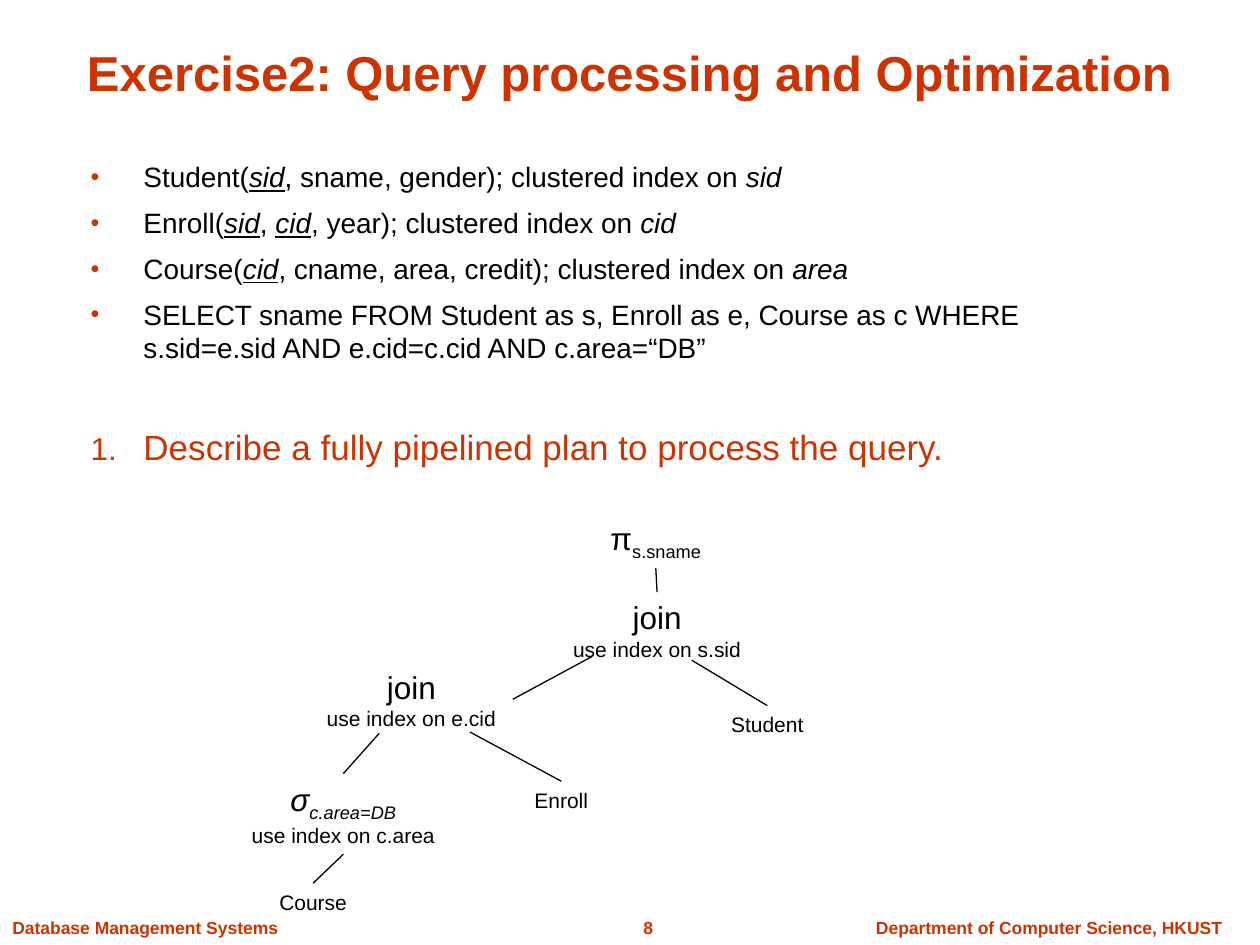
from lxml.etree import SubElement
from pptx import Presentation
from pptx.dml.color import RGBColor
from pptx.enum.shapes import MSO_CONNECTOR
from pptx.enum.text import MSO_ANCHOR, PP_ALIGN
from pptx.oxml.ns import qn
from pptx.util import Inches, Pt

RED = "CC3300"
BLACK = "000000"


def paint(color):
    return RGBColor.from_string(color)


def add_mark(para, mark):
    props = para._p.get_or_add_pPr()
    props.set("marL", str(Inches(0.42)))
    props.set("indent", str(Inches(-0.42)))
    tint = SubElement(props, qn("a:buClr"))
    SubElement(tint, qn("a:srgbClr")).set("val", RED)
    SubElement(props, qn("a:buSzPct")).set("val", "90000")
    SubElement(props, qn("a:buFont")).set("typeface", "Arial")
    if mark == "1.":
        SubElement(props, qn("a:buAutoNum")).set("type", "arabicPeriod")
    else:
        SubElement(props, qn("a:buChar")).set("char", mark)


def add_run(para, words, size, color, bold=False, style=""):
    run = para.add_run()
    run.text = words
    font = run.font
    font.name, font.size, font.bold = "Arial", Pt(size), bold
    font.color.rgb = paint(color)
    if "i" in style:
        font.italic = True
    if "u" in style:
        font.underline = True
    if "s" in style:
        run._r.get_or_add_rPr().set("baseline", "-25000")


def add_text(slide, box, paras, size=12, color=BLACK, bold=False,
             align=PP_ALIGN.CENTER, anchor=MSO_ANCHOR.TOP):
    shape = slide.shapes.add_textbox(*[Inches(n) for n in box])
    frame = shape.text_frame
    frame.word_wrap = True
    frame.vertical_anchor = anchor
    for i, item in enumerate(paras):
        para = frame.paragraphs[0] if i == 0 else frame.add_paragraph()
        para.alignment = align
        if "gap" in item:
            para.space_before = Pt(item["gap"])
        if "mark" in item:
            add_mark(para, item["mark"])
        for words, style in item["runs"]:
            add_run(para, words, item.get("size", size),
                    item.get("color", color), bold, style)
    return shape


def plain(words, **form):
    return dict(runs=[(words, "")], **form)


def add_line(slide, start, end):
    spots = [(0, 0) if hasattr(p[0], "shape_id") else p for p in (start, end)]
    line = slide.shapes.add_connector(
        MSO_CONNECTOR.STRAIGHT, *[Inches(n) for spot in spots for n in spot])
    if hasattr(start[0], "shape_id"):
        line.begin_connect(*start)
    if hasattr(end[0], "shape_id"):
        line.end_connect(*end)
    line.line.color.rgb = paint(BLACK)
    line.line.width = Pt(0.75)
    SubElement(line._element.spPr, qn("a:effectLst"))


def add_title(slide, box):
    add_text(slide, box, [plain("Exercise2: Query processing and Optimization")],
             size=28, color=RED, bold=True, anchor=MSO_ANCHOR.BOTTOM)


def add_body(slide, box):
    key = "iu"
    rows = [
        [("Student(", ""), ("sid", key),
         (", sname, gender); clustered index on ", ""), ("sid", "i")],
        [("Enroll(", ""), ("sid", key), (", ", ""), ("cid", key),
         (", year); clustered index on ", ""), ("cid", "i")],
        [("Course(", ""), ("cid", key),
         (", cname, area, credit); clustered index on ", ""), ("area", "i")],
        [("SELECT sname FROM Student as s, Enroll as e, Course as c WHERE "
          "s.sid=e.sid AND e.cid=c.cid AND c.area=“DB”", "")],
    ]
    paras = [dict(runs=row, mark="•", gap=7 if i else 0)
             for i, row in enumerate(rows)]
    paras.append(plain("Describe a fully pipelined plan to process the query.",
                       mark="1.", gap=34.8, size=20, color=RED))
    add_text(slide, box, paras, size=16, align=PP_ALIGN.LEFT)


def add_tree(slide, box):
    left, top = box[:2]

    def place(x, y, wide, high, *paras):
        return add_text(slide, (left + x, top + y, wide, high), paras)

    def spot(x, y):
        return left + x, top + y

    def join(x, y, wide, field):
        return place(x, y, wide, 0.6, plain("join", size=18),
                     plain("use index on " + field))

    root = place(2.71, 0, 1.23, 0.44,
                 dict(runs=[("π", ""), ("s.sname", "s")], size=18))
    upper = join(2.44, 0.63, 1.79, "s.sid")
    lower = join(0.58, 1.18, 1.61, "e.cid")
    pick = place(0, 2.07, 1.69, 0.64,
                 dict(runs=[("σ", "i"), ("c.area=DB", "is")], size=18),
                 plain("use index on c.area"))
    pupil = place(3.8, 1.53, 0.82, 0.3, plain("Student"))
    enroll = place(2.26, 2.13, 0.63, 0.3, plain("Enroll"))
    course = place(0.11, 2.94, 0.99, 0.3, plain("Course"))

    add_line(slide, (upper, 0), (root, 2))
    add_line(slide, (lower, 3), spot(2.82, 1.14))
    add_line(slide, (pupil, 0), spot(3.61, 1.17))
    add_line(slide, (pick, 0), spot(1.13, 1.75))
    add_line(slide, (enroll, 0), spot(1.85, 1.74))
    add_line(slide, (course, 0), (pick, 2))


def add_footer(slide, box):
    left, top, wide, high = box
    form = dict(size=10, color=RED, bold=True)
    add_text(slide, (left, top, 2.6, high),
             [plain("Database Management Systems")],
             align=PP_ALIGN.LEFT, **form)
    add_text(slide, (left + 4.71, top, 0.87, high), [plain("8")], **form)
    add_text(slide, (left + wide - 3.43, top, 3.43, high),
             [plain("Department of Computer Science, HKUST")], **form)


def main():
    deck = Presentation()
    deck.slide_width, deck.slide_height = Inches(10), Inches(7.5)
    slide = deck.slides.add_slide(deck.slide_layouts[6])
    add_footer(slide, (0, 7.23, 10.04, 0.27))
    add_body(slide, (0.62, 1.22, 8.58, 3.06))
    add_title(slide, (0.34, 0.18, 9.31, 0.67))
    add_tree(slide, (1.88, 4.07, 4.62, 3.24))
    deck.save("out.pptx")


if __name__ == "__main__":
    main()
